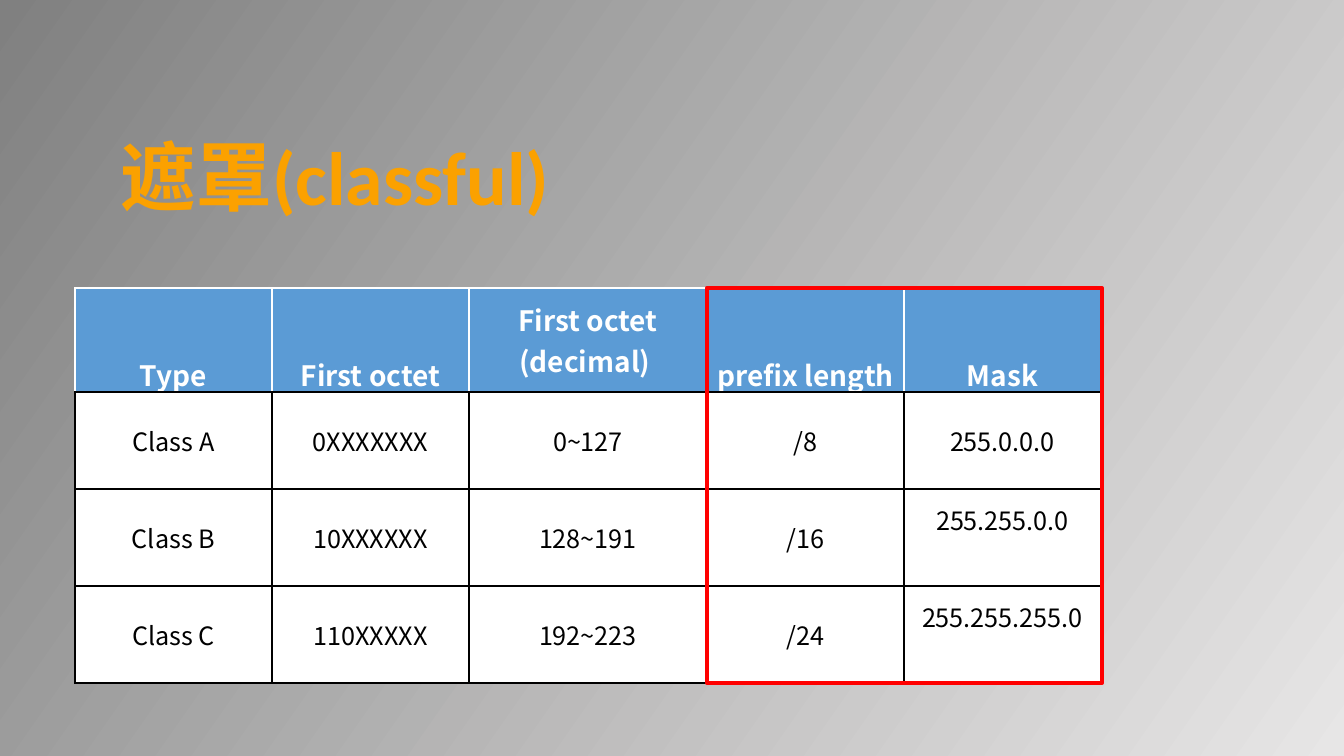
from typing import NamedTuple

from lxml.etree import SubElement
from pptx import Presentation
from pptx.dml.color import RGBColor as Rgb
from pptx.enum.shapes import MSO_SHAPE as Shape
from pptx.enum.text import MSO_ANCHOR as Anchor, PP_ALIGN as Align
from pptx.oxml.ns import qn
from pptx.util import Emu, Pt

PX = 914400 / 100.8
COLORS = {
    "dark": "808080", "light": "E7E6E6", "title": "FBA100", "edge": "333F50",
    "head": "5B9BD5", "white": "FFFFFF", "black": "000000", "red": "FF0000",
}
SANS = "Noto Sans CJK SC"


class Box(NamedTuple):
    left: int
    top: int
    width: int
    height: int


class Row(NamedTuple):
    cells: tuple[str, ...]
    height: int
    lift: int = 0  # room kept free under the mask


TITLE = Box(111, 124, 932, 103)
GRID = Box(75, 288, 1026, 395)
FRAME = Box(707, 288, 395, 395)
WIDTHS = (197, 197, 238, 197, 197)
ROWS = (
    Row(("Type", "First octet", "First octet\n(decimal) ", "prefix length", "Mask"), 104),
    Row(("Class A", "0XXXXXXX", "0~127", "/8", "255.0.0.0"), 97),
    Row(("Class B", "10XXXXXX", "128~191", "/16", "255.255.0.0"), 97, 36),
    Row(("Class C", "110XXXXX", "192~223", "/24", "255.255.255.0"), 97, 36),
)


def px(count: int) -> Emu:
    return Emu(round(count * PX))


def place(box: Box) -> list[Emu]:
    return [px(side) for side in box]


def rgb(name: str) -> Rgb:
    return Rgb.from_string(COLORS[name])


def write(frame, text: str, *, size: int, color: str, font: str = SANS,
          bold: bool = False, align=Align.CENTER, spacing: float = 1.0) -> None:
    """Fill a text frame, one paragraph for each line of text."""
    frame.text = text
    for para in frame.paragraphs:
        para.alignment = align
        para.line_spacing = spacing
        for run in para.runs:
            run.font.size = Pt(size)
            run.font.bold = bold
            run.font.name = font
            run.font.color.rgb = rgb(color)


def stroke(parent, tag: str, color: str) -> None:
    """Add a one-point solid line element."""
    line = SubElement(parent, qn(tag), w=str(Pt(1)))
    fill = SubElement(line, qn("a:solidFill"))
    SubElement(fill, qn("a:srgbClr"), val=COLORS[color])


def border(cell, color: str, base: str) -> None:
    props = cell._tc.get_or_add_tcPr()
    for side in "LRTB":
        stroke(props, f"a:ln{side}", base if side == "B" else color)


def paint(slide) -> None:
    fill = slide.background.fill
    fill.gradient()
    fill.gradient_angle = 325
    for stop, name in zip(fill.gradient_stops, ("dark", "light")):
        stop.color.rgb = rgb(name)


def add_title(slide) -> None:
    frame = slide.shapes.add_textbox(*place(TITLE)).text_frame
    frame.word_wrap = True
    frame.vertical_anchor = Anchor.BOTTOM
    write(frame, "遮罩(classful)", size=54, color="title", font="Calibri",
          bold=True, align=Align.LEFT, spacing=0.9)
    props = frame.paragraphs[0].runs[0].font._element
    stroke(props, "a:ln", "edge")
    props.insert(0, props[-1])


def add_grid(slide) -> None:
    table = slide.shapes.add_table(len(ROWS), len(WIDTHS), *place(GRID)).table
    table.first_row = table.horz_banding = False
    for column, width in zip(table.columns, WIDTHS):
        column.width = px(width)
    for i, row in enumerate(ROWS):
        table.rows[i].height = px(row.height)
        head = i == 0
        for j, text in enumerate(row.cells):
            cell = table.cell(i, j)
            cell.vertical_anchor = Anchor.MIDDLE
            cell.margin_left = cell.margin_right = px(7)
            if j == len(WIDTHS) - 1:
                cell.margin_bottom = px(5 + row.lift)
            write(cell.text_frame, text, size=20 if head else 18, bold=head,
                  color="white" if head else "black",
                  spacing=2.5 if head and "\n" not in text else 1.0)
            border(cell, "white" if head else "black", "black")
            cell.fill.solid()
            cell.fill.fore_color.rgb = rgb("head" if head else "white")


def add_frame(slide) -> None:
    frame = slide.shapes.add_shape(Shape.RECTANGLE, *place(FRAME))
    frame.shadow.inherit = False
    frame.fill.background()
    frame.line.color.rgb = rgb("red")
    frame.line.width = Pt(3)


def main() -> None:
    deck = Presentation()
    deck.slide_width, deck.slide_height = px(1344), px(756)
    slide = deck.slides.add_slide(deck.slide_layouts[6])
    paint(slide)
    add_title(slide)
    add_grid(slide)
    add_frame(slide)
    deck.save("out.pptx")


if __name__ == "__main__":
    main()
